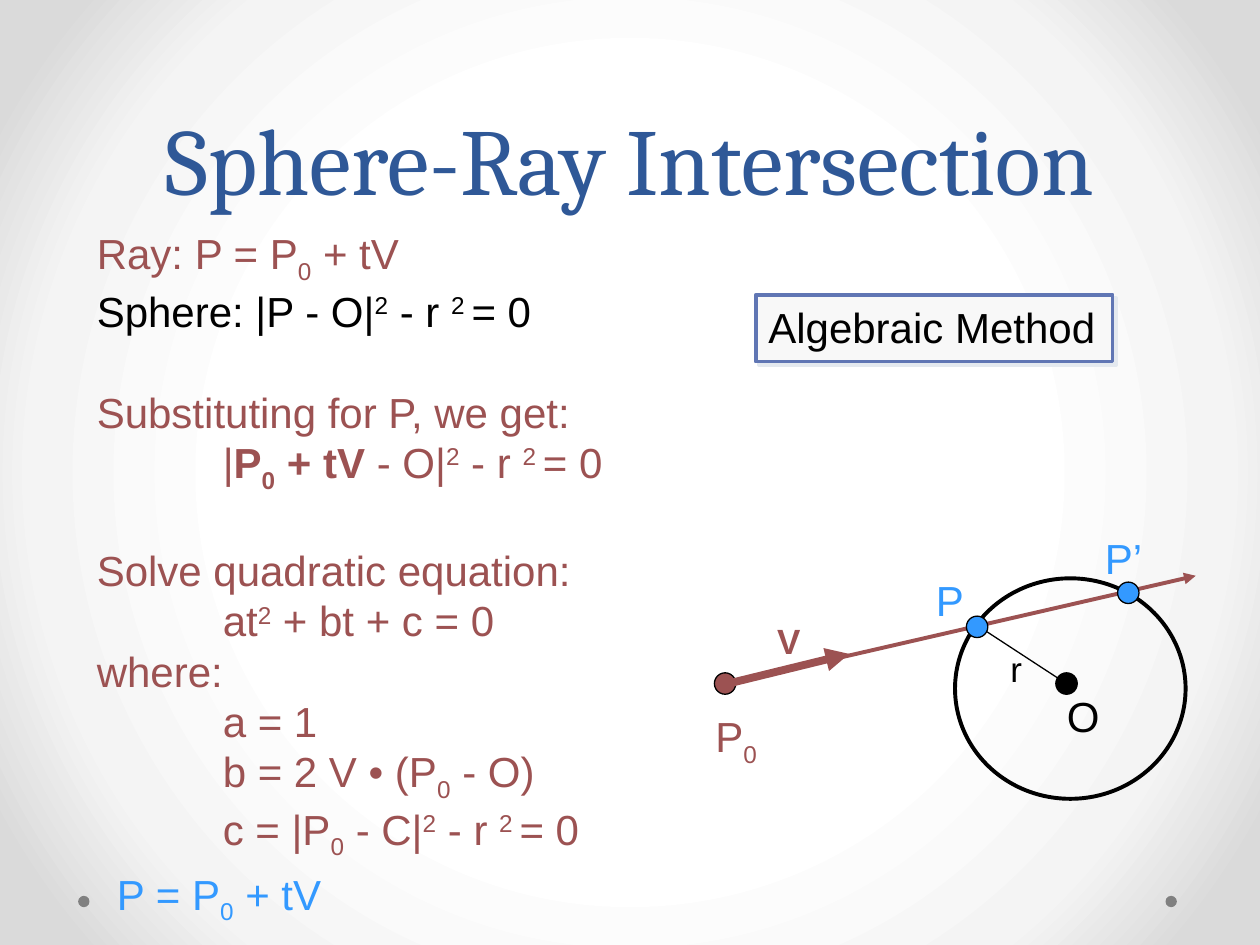
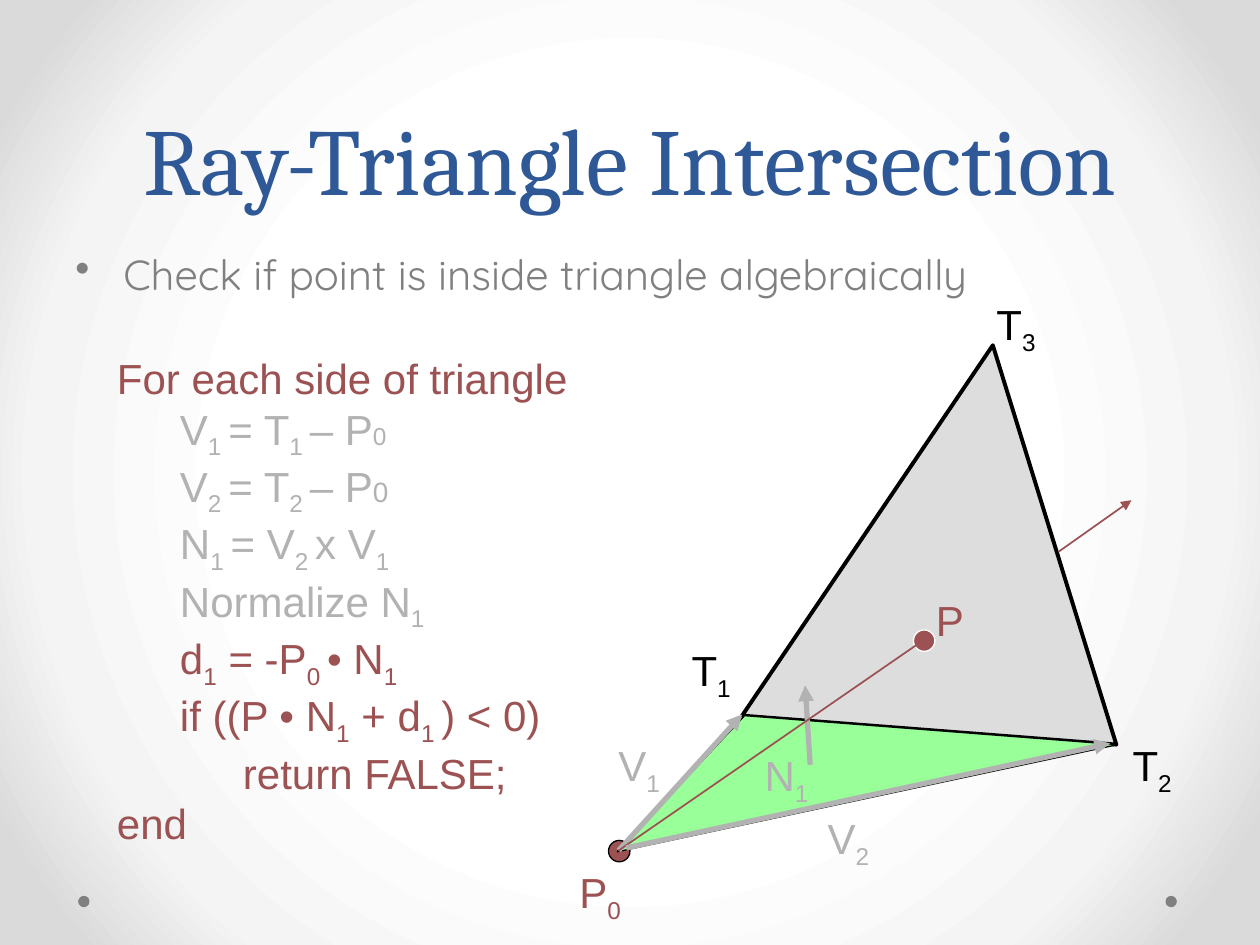
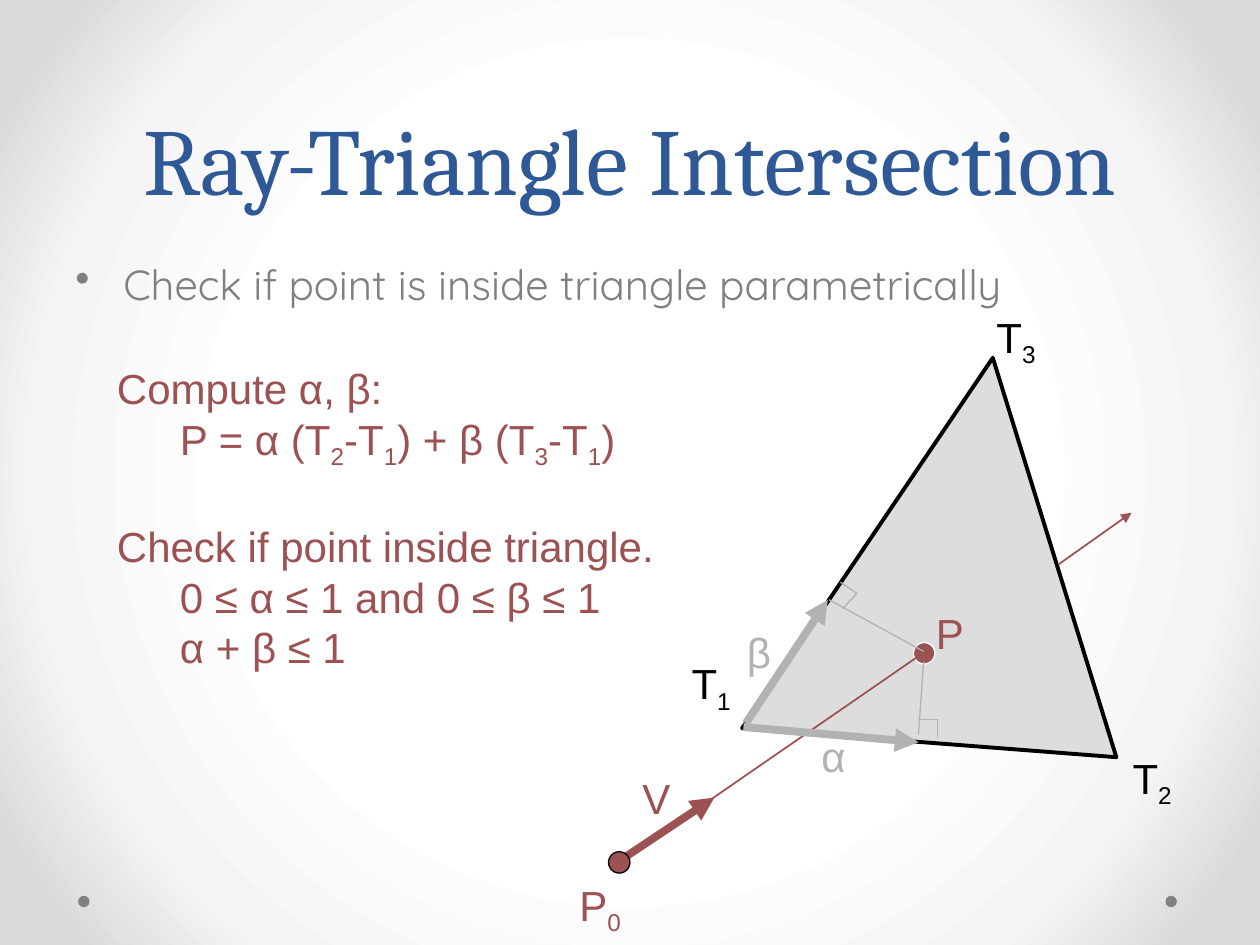
from dataclasses import dataclass

from lxml import etree
from pptx import Presentation
from pptx import util as u
from pptx.dml.color import RGBColor
from pptx.enum import shapes, text
from pptx.oxml import parse_xml
from pptx.oxml.ns import nsdecls, qn

BLUE = RGBColor(0x2F, 0x58, 0x97)
SKY = RGBColor(0x33, 0x99, 0xFF)
RED = RGBColor(0x9C, 0x52, 0x52)
GREEN = RGBColor(0x99, 0xFF, 0x99)
BLACK = RGBColor(0, 0, 0)
WHITE = RGBColor(0xFF, 0xFF, 0xFF)
GRAY = RGBColor(0x80, 0x80, 0x80)
SILVER = RGBColor(0xB2, 0xB2, 0xB2)
FACE = RGBColor(0xDD, 0xDD, 0xDD)
BOX_FILL = RGBColor(0xF8, 0xF8, 0xF8)
BOX_LINE = RGBColor(0x60, 0x76, 0xB4)

TITLE_FONT, BODY_FONT, MATH_FONT = "Cambria", "Quicksand", "Arial"
BACKGROUND_STOPS = [(50, "FFFFFF"), (76, "F4F4F4"), (92, "DADADA")]
DOT_SIZE = 0.17
BLANK_LINE = u.Pt(28.8)
BASELINES = {"_": "-25000", "^": "30000"}


@dataclass
class Line:
    """One paragraph; a run starting with _ is lowered, ^ raised, * bold."""
    runs: list
    color: RGBColor = RED
    indent: float = 0
    gap: bool = False


class Deck:
    def __init__(self):
        self.presentation = Presentation()
        self.presentation.slide_width = u.Inches(10)
        self.presentation.slide_height = u.Inches(7.5)
        self.slide = None
        self.set_background()

    def set_background(self):
        master = self.presentation.slide_master
        master.background.fill.solid()
        stops = "".join(f'<a:gs pos="{position * 1000}"><a:srgbClr val="{color}"/></a:gs>'
                        for position, color in BACKGROUND_STOPS)
        gradient = parse_xml(
            f'<a:gradFill {nsdecls("a")} rotWithShape="1"><a:gsLst>{stops}</a:gsLst>'
            '<a:path path="circle"><a:fillToRect l="50000" t="50000" r="50000" b="50000"/>'
            '</a:path></a:gradFill>')
        properties = master.element.find(".//" + qn("p:bgPr"))
        properties.replace(properties[0], gradient)

    def add_master_dots(self):
        """Draw the two footer dots on the current slide, then move them to the master."""
        tree = self.presentation.slide_master.shapes.element
        for number, left in enumerate((9.25, 0.62)):
            dot = self.ellipse(left, 7.11, 0.09, 0.09, GRAY)
            dot.element.nvSpPr.cNvPr.id = 100 + number
            tree.append(dot.element)

    def new_slide(self, title):
        self.slide = self.presentation.slides.add_slide(self.presentation.slide_layouts[5])
        shape = self.slide.shapes.title
        shape.left, shape.top = u.Inches(0.5), u.Inches(0)
        shape.width, shape.height = u.Inches(9), u.Inches(1.75)
        frame = shape.text_frame
        frame.auto_size = text.MSO_AUTO_SIZE.NONE
        frame.vertical_anchor = text.MSO_ANCHOR.BOTTOM
        paragraph = frame.paragraphs[0]
        paragraph.alignment = text.PP_ALIGN.CENTER
        paragraph.line_spacing = u.Pt(58)
        self.add_run(paragraph, title, BLUE, 54, TITLE_FONT)

    def add_run(self, paragraph, content, color, size=24, font=MATH_FONT):
        bold = content.startswith("*")
        content = content[1:] if bold else content
        baseline = BASELINES.get(content[0])
        run = paragraph.add_run()
        run.text = content[1:] if baseline else content
        run.font.name, run.font.size, run.font.bold = font, u.Pt(size), bold
        run.font.color.rgb = color
        if baseline:
            run.font._element.set("baseline", baseline)

    def fill_text(self, frame, lines, size=24):
        frame.word_wrap = False
        frame.auto_size = text.MSO_AUTO_SIZE.SHAPE_TO_FIT_TEXT
        frame.vertical_anchor = text.MSO_ANCHOR.TOP
        for index, line in enumerate(lines):
            paragraph = frame.add_paragraph() if index else frame.paragraphs[0]
            paragraph.alignment = text.PP_ALIGN.LEFT
            if line.gap:
                paragraph.space_before = BLANK_LINE
            if line.indent:
                paragraph._p.get_or_add_pPr().set("marL", str(u.Inches(line.indent)))
            for run in line.runs:
                content, run_size = run if isinstance(run, tuple) else (run, size)
                self.add_run(paragraph, content, line.color, run_size)

    def text_box(self, left, top, width, height):
        return self.slide.shapes.add_textbox(
            u.Inches(left), u.Inches(top), u.Inches(width), u.Inches(height))

    def formulas(self, left, top, width, height, lines):
        self.fill_text(self.text_box(left, top, width, height).text_frame, lines)

    def label(self, left, top, width, runs, color, size=24):
        box = self.text_box(left, top, width, 0.5 if size == 24 else 0.43)
        self.fill_text(box.text_frame, [Line(runs, color)], size)

    def bullet(self, top, height, content):
        frame = self.text_box(0.5, top, 9.25, height).text_frame
        frame.word_wrap = True
        paragraph = frame.paragraphs[0]
        properties = paragraph._p.get_or_add_pPr()
        properties.set("marL", str(u.Inches(0.38)))
        properties.set("indent", str(u.Inches(-0.38)))
        etree.SubElement(properties, qn("a:buChar")).set("char", "•")
        self.add_run(paragraph, content, GRAY, 24, BODY_FONT)

    def style(self, shape, fill, line, weight):
        shape.shadow.inherit = False
        if fill is None:
            shape.fill.background()
        else:
            shape.fill.solid()
            shape.fill.fore_color.rgb = fill
        if line is None:
            shape.line.fill.background()
        else:
            shape.line.color.rgb = line
            shape.line.width = u.Pt(weight)

    def add_arrowhead(self, shape):
        outline = shape._element.spPr.find(qn("a:ln"))
        etree.SubElement(outline, qn("a:tailEnd")).set("type", "triangle")

    def ellipse(self, left, top, width, height, fill=None, line=None, weight=0.75):
        shape = self.slide.shapes.add_shape(
            shapes.MSO_SHAPE.OVAL, u.Inches(left), u.Inches(top),
            u.Inches(width), u.Inches(height))
        self.style(shape, fill, line, weight)
        return shape

    def point(self, left, top, fill, line=BLACK):
        self.ellipse(left, top, DOT_SIZE, DOT_SIZE, fill, line)

    def callout(self, left, top, width, height, content):
        shape = self.slide.shapes.add_shape(
            shapes.MSO_SHAPE.RECTANGLE, u.Inches(left), u.Inches(top),
            u.Inches(width), u.Inches(height))
        self.style(shape, BOX_FILL, BOX_LINE, 2.25)
        effects = shape._element.spPr.find(qn("a:effectLst"))
        effects.append(parse_xml(
            f'<a:outerShdw {nsdecls("a")} dist="{u.Pt(2.8)}" dir="2700000" algn="ctr" '
            'rotWithShape="0"><a:srgbClr val="E4E9EF"/></a:outerShdw>'))
        self.fill_text(shape.text_frame, [Line([content], BLACK)])

    def segment(self, start, end, color, weight, arrow=False):
        connector = self.slide.shapes.add_connector(
            shapes.MSO_CONNECTOR.STRAIGHT, *(u.Inches(value) for value in (*start, *end)))
        connector.line.color.rgb = color
        connector.line.width = u.Pt(weight)
        etree.SubElement(connector._element.spPr, qn("a:effectLst"))
        if arrow:
            self.add_arrowhead(connector)

    def outline(self, points, line, weight, fill=None, arrow=False):
        """Draw a path through the points; it is closed when filled."""
        corners = [(u.Inches(x), u.Inches(y)) for x, y in points]
        builder = self.slide.shapes.build_freeform(*corners[0], scale=1.0)
        builder.add_line_segments(corners[1:], close=fill is not None)
        shape = builder.convert_to_shape()
        self.style(shape, fill, line, weight)
        if arrow:
            self.add_arrowhead(shape)

    def triangle_scene(self, drop=0.0):
        """Draw the triangle, its labels, point P and the outgoing ray, moved down by drop."""
        corners = [(7.88, 2.74), (8.86, 5.91), (5.89, 5.68)]
        self.outline([(x, y + drop) for x, y in corners], BLACK, 2.25, FACE)
        self.segment((8.4, 4.38 + drop), (8.98, 3.97 + drop), RED, 1, arrow=True)
        self.point(7.25, 5 + drop, RED, WHITE)
        self.label(7.33, 4.67 + drop, 0.42, ["P"], RED)
        self.label(4.5, 6.83 + drop, 0.55, ["P", "_0"], RED)
        for number, left, top in ((1, 5.39, 5.07), (2, 8.89, 5.82), (3, 7.81, 2.32)):
            self.label(left, top + drop, 0.53, ["T", f"_{number}"], BLACK)

    def incoming_ray(self, drop=0.0):
        self.segment((4.91, 6.75 + drop), (7.33, 5.08 + drop), RED, 1)


def sphere_slide(deck):
    deck.new_slide("Sphere-Ray Intersection")
    deck.add_master_dots()
    sphere_end = ["^2", " - r ", "^2 ", "= 0"]
    deck.formulas(0.67, 1.76, 4.5, 4.89, [
        Line(["Ray: P = P", "_0", " + tV"]),
        Line(["Sphere: |P - O|", *sphere_end], BLACK),
        Line(["Substituting for P, we get:"], gap=True),
        Line(["|", "*P", "*_0", "* + tV", " - O|", *sphere_end], indent=1),
        Line(["Solve quadratic equation:"], gap=True),
        Line(["at", "^2", " + bt + c = 0"], indent=1),
        Line(["where:"]),
        Line(["a = 1"], indent=1),
        Line(["b = 2 V • (P", "_0", " - O)"], indent=1),
        Line(["c = |P", "_0", " - C|", *sphere_end], indent=1),
    ])
    deck.ellipse(7.58, 4.59, 1.83, 1.75, line=BLACK, weight=2.25)
    deck.point(5.67, 5.34, RED)
    deck.segment((5.75, 5.43), (9.49, 4.57), RED, 2.25, arrow=True)
    deck.point(8.38, 5.34, BLACK)
    deck.segment((5.76, 5.43), (6.74, 5.19), RED, 4.5, arrow=True)
    deck.segment((7.75, 4.96), (8.47, 5.43), BLACK, 0.75)
    deck.label(5.58, 5.59, 0.55, ["P", "_0"], RED)
    deck.label(6.07, 4.87, 0.39, ["*V"], RED, 20)
    deck.label(8.37, 5.43, 0.46, ["O"], BLACK)
    deck.label(7.33, 4.51, 0.43, ["P"], SKY)
    deck.label(7.92, 5.09, 0.29, ["r"], BLACK, 20)
    deck.label(8.67, 4.18, 0.51, ["P’"], SKY)
    deck.callout(6, 2.34, 2.83, 0.53, "Algebraic Method")
    deck.label(0.83, 6.84, 1.91, ["P = P", "_0", " + tV"], SKY)
    deck.point(7.67, 4.89, SKY)
    deck.point(8.87, 4.62, SKY)


def algebraic_slide(deck):
    deck.new_slide("Ray-Triangle Intersection")
    deck.bullet(1.92, 4.6, "Check if point is inside triangle algebraically")
    deck.triangle_scene()
    deck.point(4.83, 6.67, RED)
    deck.outline([(4.9, 6.76), (5.91, 5.68), (8.87, 5.91)], BLACK, 0.75, GREEN)
    deck.segment((6.43, 6.07), (6.39, 5.44), SILVER, 3, arrow=True)
    deck.outline([(4.91, 6.75), (5.89, 5.67)], SILVER, 3, arrow=True)
    deck.incoming_ray()
    deck.outline([(4.97, 6.73), (8.81, 5.9)], SILVER, 3, arrow=True)
    deck.label(4.81, 5.82, 0.55, ["V", "_1"], SILVER)
    deck.label(6.47, 6.4, 0.55, ["V", "_2"], SILVER)
    deck.label(5.97, 5.9, 0.55, ["N", "_1"], SILVER)
    deck.formulas(0.83, 2.75, 3.78, 3.69, [
        Line(["For each side of triangle"]),
        Line(["V", "_1 ", "= T", "_1 ", "– P", ("0", 14)], SILVER, 0.5),
        Line(["V", "_2 ", "= T", "_2 ", "– P", ("0", 16)], SILVER, 0.5),
        Line(["N", "_1 ", "= V", "_2 ", "x V", "_1"], SILVER, 0.5),
        Line(["Normalize N", "_1"], SILVER, 0.5),
        Line(["d", "_1", " = -P", "_0 ", "• N", "_1"], indent=0.5),
        Line(["if ((P • N", "_1", " + d", "_1 ", ") < 0)"], indent=0.5),
        Line(["return FALSE;"], indent=1),
        Line(["end"]),
    ])


def parametric_slide(deck):
    drop = 0.1
    deck.new_slide("Ray-Triangle Intersection")
    deck.bullet(2, 6, "Check if point is inside triangle parametrically")
    deck.triangle_scene(drop)
    deck.outline([(5.92, 5.74), (6.57, 4.76)], SILVER, 4.5, arrow=True)
    deck.incoming_ray(drop)
    deck.outline([(5.9, 5.77), (7.29, 5.89)], SILVER, 4.5, arrow=True)
    deck.formulas(0.83, 2.83, 4.47, 2.5, [
        Line(["Compute α, β:"]),
        Line(["P = α (T", "_2", "-T", "_1", ") + β (T", "_3", "-T", "_1", ")"], indent=0.5),
        Line(["Check if point inside triangle."], gap=True),
        Line(["0 ≤ α ≤ 1 and 0 ≤ β ≤ 1"], indent=0.5),
        Line(["α + β ≤ 1"], indent=0.5),
    ])
    deck.segment((4.92, 6.83), (5.67, 6.33), RED, 4.5, arrow=True)
    deck.point(4.83, 6.76, RED)
    deck.label(5, 6.08, 0.42, ["V"], RED)
    deck.label(6.42, 5.75, 0.41, ["α"], SILVER)
    deck.label(5.83, 4.92, 0.38, ["β"], SILVER)
    deck.segment((7.33, 5.25), (7.29, 5.83), SILVER, 0.75)
    deck.outline([(7.3, 5.71), (7.44, 5.71), (7.44, 5.86)], SILVER, 0.75)
    deck.segment((6.58, 4.76), (7.33, 5.17), SILVER, 0.75)
    deck.outline([(6.67, 4.62), (6.8, 4.71), (6.69, 4.83)], SILVER, 0.75)


def main():
    deck = Deck()
    sphere_slide(deck)
    algebraic_slide(deck)
    parametric_slide(deck)
    deck.presentation.save("out.pptx")


if __name__ == "__main__":
    main()
